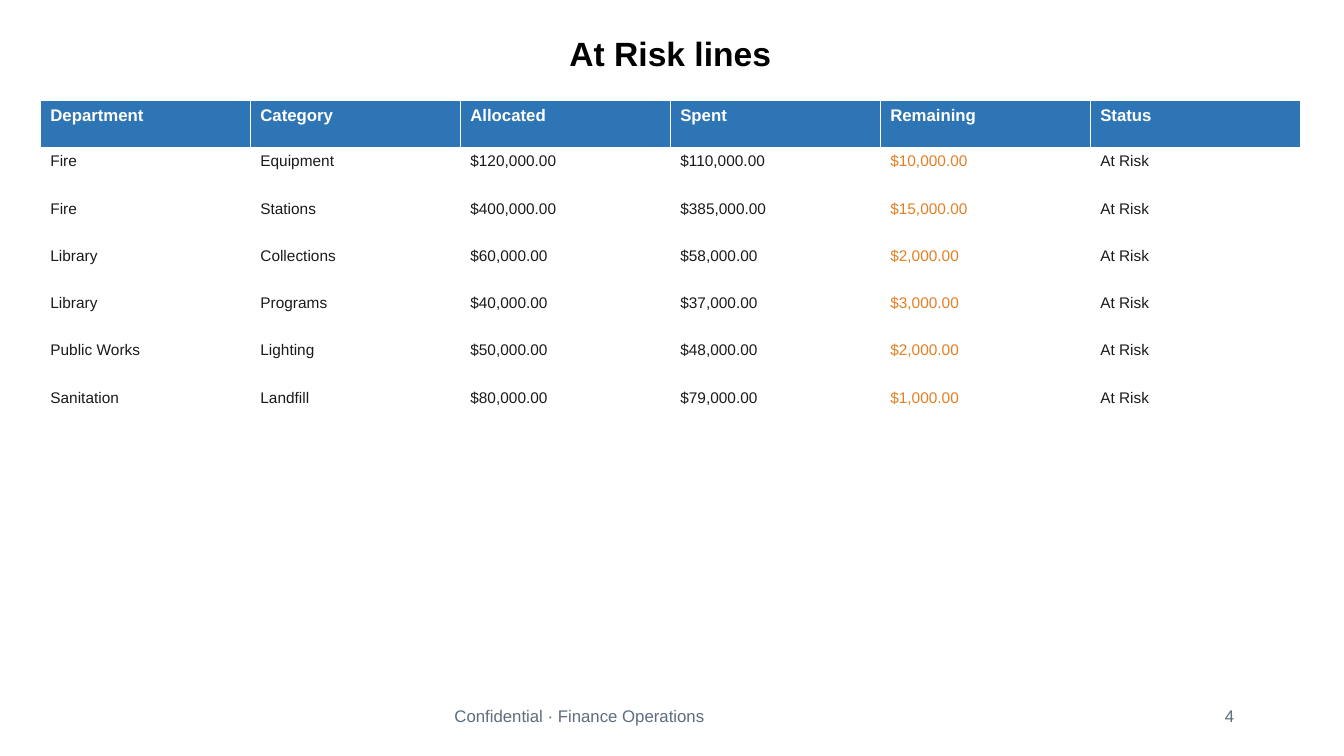
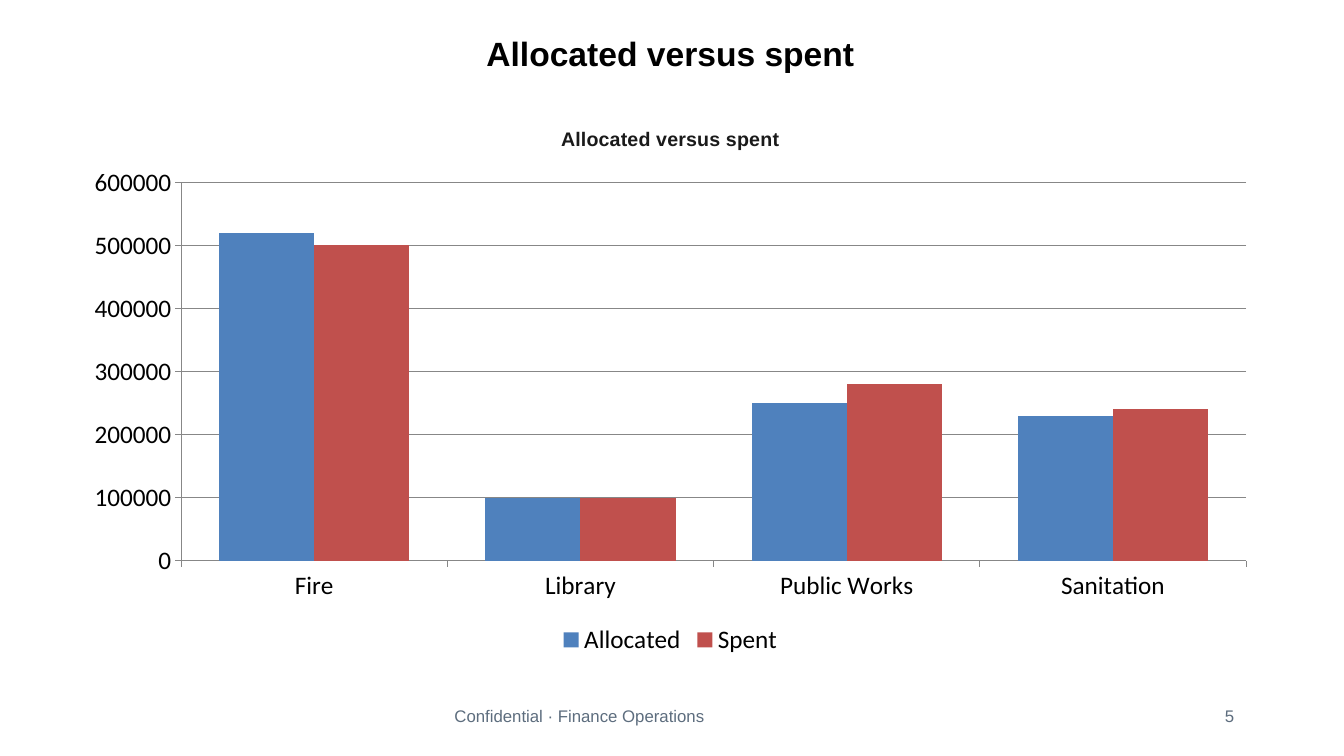
from lxml import etree
from pptx import Presentation
from pptx.chart.data import CategoryChartData
from pptx.dml.color import RGBColor
from pptx.enum.chart import XL_CHART_TYPE, XL_LEGEND_POSITION, XL_TICK_MARK
from pptx.enum.text import MSO_AUTO_SIZE, PP_ALIGN
from pptx.oxml.ns import qn
from pptx.util import Pt

COLUMN_CLUSTERED = XL_CHART_TYPE.COLUMN_CLUSTERED
LEGEND_BOTTOM = XL_LEGEND_POSITION.BOTTOM
TICK_OUTSIDE = XL_TICK_MARK.OUTSIDE
NO_AUTO_SIZE = MSO_AUTO_SIZE.NONE
LEFT, CENTER, RIGHT = PP_ALIGN.LEFT, PP_ALIGN.CENTER, PP_ALIGN.RIGHT

BLACK = RGBColor(0x00, 0x00, 0x00)
WHITE = RGBColor(0xFF, 0xFF, 0xFF)
INK = RGBColor(0x1A, 0x1A, 0x1A)
SLATE = RGBColor(0x5D, 0x6D, 0x7E)
HEADER_BLUE = RGBColor(0x2E, 0x75, 0xB6)
RISK_ORANGE = RGBColor(0xE6, 0x7E, 0x22)
BAR_BLUE = RGBColor(0x4F, 0x81, 0xBD)
BAR_RED = RGBColor(0xC0, 0x50, 0x4D)
AXIS_GRAY = RGBColor(0x87, 0x87, 0x87)

SLIDE_WIDTH, SLIDE_HEIGHT = 960, 540
CONTENT_CENTER = 478.8
TEXT_FONT, CHART_FONT = "Arial", "Calibri"
FOOTER = "Confidential · Finance Operations"

HEADERS = ["Department", "Category", "Allocated", "Spent", "Remaining", "Status"]
RISK_LINES = [
    ("Fire", "Equipment", 120000, 110000),
    ("Fire", "Stations", 400000, 385000),
    ("Library", "Collections", 60000, 58000),
    ("Library", "Programs", 40000, 37000),
    ("Public Works", "Lighting", 50000, 48000),
    ("Sanitation", "Landfill", 80000, 79000),
]
DEPARTMENTS = ["Fire", "Library", "Public Works", "Sanitation"]
SERIES = [
    ("Allocated", [520000, 100000, 250000, 230000], BAR_BLUE),
    ("Spent", [500000, 100000, 280000, 240000], BAR_RED),
]


def money(amount):
    return f"${amount:,.2f}"


class BudgetDeck:
    """Holds the shared style and the slide being built."""

    def __init__(self):
        self.deck = Presentation()
        self.deck.slide_width = Pt(SLIDE_WIDTH)
        self.deck.slide_height = Pt(SLIDE_HEIGHT)
        self.page = None

    def add_page(self, title, title_width, number):
        self.page = self.deck.slides.add_slide(self.deck.slide_layouts[6])
        title_left = CONTENT_CENTER - title_width / 2
        self.text(title, title_left, 20, title_width, 36, 24, BLACK, CENTER, True)
        self.text(FOOTER, 317.5, 500.4, 193, 21.6, 12, SLATE, LEFT)
        self.text(str(number), 867.6, 500.4, 21, 21.6, 12, SLATE, RIGHT)

    def style(self, font, size, color, bold=False, name=TEXT_FONT):
        font.name = name
        font.size = Pt(size)
        font.bold = bold
        font.color.rgb = color

    def run(self, para, text, size, color, bold=False):
        span = para.add_run()
        span.text = text
        self.style(span.font, size, color, bold)

    def text(self, text, left, top, width, height, size, color, align, bold=False):
        box = self.page.shapes.add_textbox(Pt(left), Pt(top), Pt(width), Pt(height))
        frame = box.text_frame
        frame.word_wrap = False
        frame.auto_size = NO_AUTO_SIZE
        para = frame.paragraphs[0]
        para.alignment = align
        self.run(para, text, size, color, bold)

    def cell(self, cell, text, size, color, fill, bold=False):
        cell.fill.solid()
        cell.fill.fore_color.rgb = fill
        self.run(cell.text_frame.paragraphs[0], text, size, color, bold)
        # White borders come before the fill in the cell properties
        properties = cell._tc.get_or_add_tcPr()
        for index, side in enumerate(("a:lnL", "a:lnR", "a:lnT", "a:lnB")):
            line = etree.Element(qn(side), w=str(Pt(0.96)))
            solid = etree.SubElement(line, qn("a:solidFill"))
            etree.SubElement(solid, qn("a:srgbClr"), val=str(WHITE))
            properties.insert(index, line)

    def table(self, headers, rows, accent_column, left, top, column_width, row_height):
        row_count, column_count = len(rows) + 1, len(headers)
        table = self.page.shapes.add_table(
            row_count, column_count, Pt(left), Pt(top),
            Pt(column_width * column_count), Pt(row_height * row_count)).table
        table.horz_banding = False
        for column, header in enumerate(headers):
            self.cell(table.cell(0, column), header, 12, WHITE, HEADER_BLUE, True)
        for row, values in enumerate(rows, 1):
            for column, value in enumerate(values):
                color = RISK_ORANGE if column == accent_column else INK
                self.cell(table.cell(row, column), value, 11, color, WHITE)

    def line(self, line):
        line.color.rgb = AXIS_GRAY
        line.width = Pt(0.75)

    def chart(self, title, categories, series, left, top, width, height):
        data = CategoryChartData()
        data.categories = categories
        for name, values, _ in series:
            data.add_series(name, values)
        chart = self.page.shapes.add_chart(
            COLUMN_CLUSTERED, Pt(left), Pt(top), Pt(width), Pt(height), data).chart
        self.style(chart.font, 10, BLACK)

        # Title and legend
        chart.has_title = True
        self.run(chart.chart_title.text_frame.paragraphs[0], title, 14, INK, True)
        chart.chart_title.include_in_layout = False
        chart.has_legend = True
        chart.legend.position = LEGEND_BOTTOM
        chart.legend.include_in_layout = False
        self.style(chart.legend.font, 18, BLACK, name=CHART_FONT)

        # Axes
        for axis in (chart.category_axis, chart.value_axis):
            axis.major_tick_mark = TICK_OUTSIDE
            self.style(axis.tick_labels.font, 18, BLACK, name=CHART_FONT)
            self.line(axis.format.line)
        chart.value_axis.has_major_gridlines = True
        self.line(chart.value_axis.major_gridlines.format.line)

        # Columns
        plot = chart.plots[0]
        plot.gap_width = 80
        plot.overlap = 0
        plot.vary_by_categories = False
        for columns, (_, _, color) in zip(plot.series, series):
            columns.format.fill.solid()
            columns.format.fill.fore_color.rgb = color


def main():
    budget = BudgetDeck()

    # Lines at risk
    budget.add_page("At Risk lines", 158.4, 4)
    rows = [
        (department, category, money(allocated), money(spent),
         money(allocated - spent), "At Risk")
        for department, category, allocated, spent in RISK_LINES
    ]
    budget.table(HEADERS, rows, HEADERS.index("Remaining"), 28.8, 72, 150, 33.75)

    # Department totals
    title = "Allocated versus spent"
    budget.add_page(title, 277.2, 5)
    budget.chart(title, DEPARTMENTS, SERIES, 50.4, 75.6, 856.8, 396)

    budget.deck.save("out.pptx")


if __name__ == "__main__":
    main()
